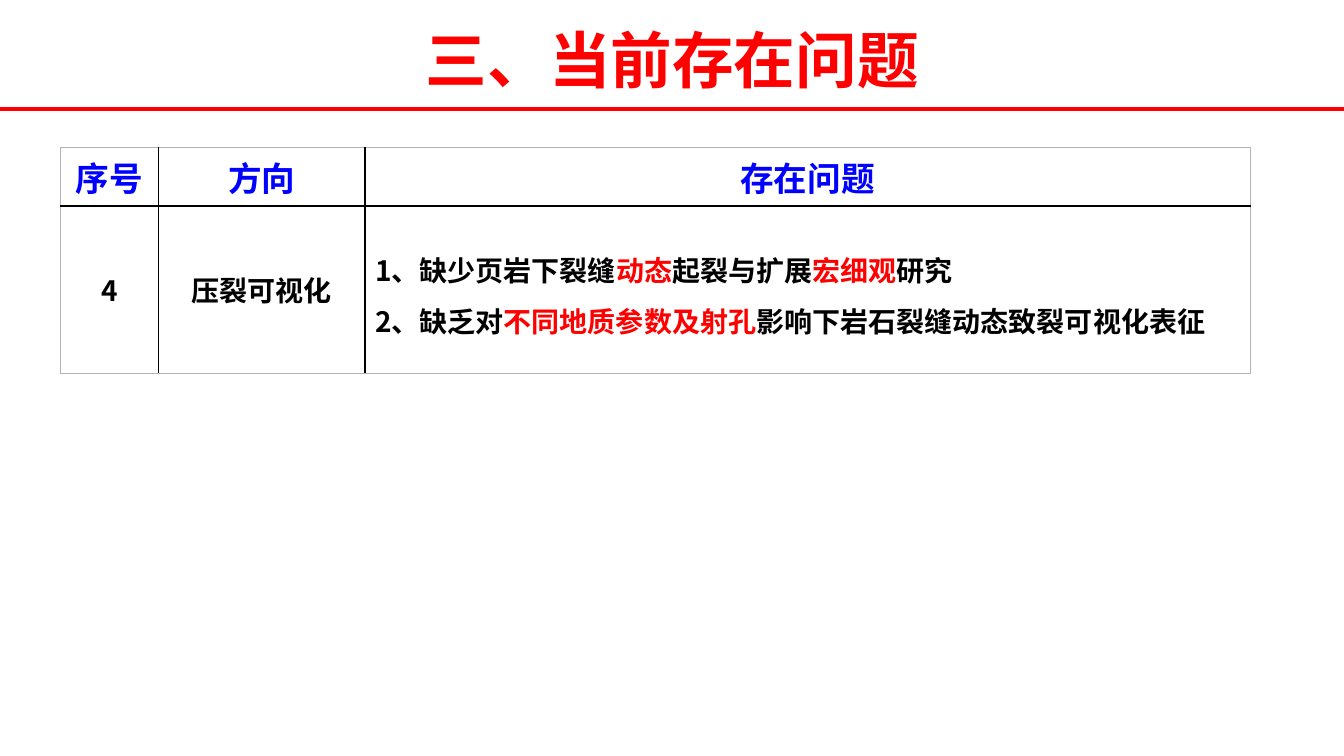
import pptx
import pptx.dml.color
import pptx.enum.text
import pptx.oxml
import pptx.oxml.ns
import pptx.util
from pptx.util import Inches

COLORS = {"red": "FF0000", "blue": "0000FF", "black": "000000", "edge": "B4B4B4"}
ALIGN = pptx.enum.text.PP_ALIGN
MIDDLE = pptx.enum.text.MSO_ANCHOR.MIDDLE


class Deck:
    """Holds the style and the current slide, and adds each kind of element."""

    def __init__(self, prs):
        self.font = "Noto Sans CJK SC"
        self.s = prs.slides.add_slide(prs.slide_layouts[5])

    def rgb(self, color):
        return pptx.dml.color.RGBColor.from_string(COLORS[color])

    def runs(self, p, parts, size, align=ALIGN.CENTER, spacing=None):
        p.alignment = align
        if spacing:
            p.line_spacing = spacing
        for text, color in parts:
            r = p.add_run()
            r.text = text
            r.font.size = pptx.util.Pt(size)
            r.font.bold = True
            r.font.name = self.font
            r.font.color.rgb = self.rgb(color)
            ea = pptx.oxml.parse_xml(
                f'<a:ea {pptx.oxml.ns.nsdecls("a")} typeface="{self.font}"/>')
            r.font._element.find(pptx.oxml.ns.qn("a:latin")).addnext(ea)

    def title(self, text, left, top, width, height):
        sp = self.s.shapes.title
        sp.left, sp.top = Inches(left), Inches(top)
        sp.width, sp.height = Inches(width), Inches(height)
        tf = sp.text_frame
        tf.auto_size = pptx.enum.text.MSO_AUTO_SIZE.NONE
        tf.vertical_anchor = MIDDLE
        self.runs(tf.paragraphs[0], [(text, "red")], 44)

    def rule(self, top, width):
        line = self.s.shapes.add_connector(1, 0, Inches(top), Inches(width), Inches(top))
        line.line.color.rgb = self.rgb("red")
        line.line.width = pptx.util.Pt(3)
        line._element.spPr.append(
            pptx.oxml.parse_xml(f'<a:effectLst {pptx.oxml.ns.nsdecls("a")}/>'))

    def border(self, cell, side, color):
        cell._tc.get_or_add_tcPr().append(pptx.oxml.parse_xml(
            f'<a:ln{side} {pptx.oxml.ns.nsdecls("a")} w="12700"><a:solidFill>'
            f'<a:srgbClr val="{COLORS[color]}"/></a:solidFill></a:ln{side}>'))

    def table(self, rows, left, top, widths, heights):
        table = self.s.shapes.add_table(
            len(heights), len(widths), Inches(left), Inches(top),
            Inches(sum(widths)), Inches(sum(heights))).table
        table.first_row = table.horz_banding = False
        for column, width in zip(table.columns, widths):
            column.width = Inches(width)
        for row, height in zip(table.rows, heights):
            row.height = Inches(height)
        for i, row in enumerate(rows):
            for j, paragraphs in enumerate(row):
                cell = table.cell(i, j)
                outer = {"L": j == 0, "R": j == len(widths) - 1,
                         "T": i == 0, "B": i == len(heights) - 1}
                for side, is_edge in outer.items():
                    self.border(cell, side, "edge" if is_edge else "black")
                cell.fill.background()
                cell.vertical_anchor = MIDDLE
                tf = cell.text_frame
                listed = len(paragraphs) > 1
                for k, parts in enumerate(paragraphs):
                    p = tf.add_paragraph() if k else tf.paragraphs[0]
                    self.runs(p, parts, 20 if i else 24,
                              ALIGN.LEFT if listed else ALIGN.CENTER,
                              1.25 if listed else None)


def main():
    prs = pptx.Presentation()
    prs.slide_width, prs.slide_height = Inches(13.33), Inches(7.5)
    deck = Deck(prs)
    deck.rule(1.08, 13.33)
    deck.title("三、当前存在问题", 2.71, 0.19, 7.92, 0.78)
    header = [[[(text, "blue")]] for text in ("序号", "方向", "存在问题")]
    problems = [
        [("1、缺少页岩下裂缝", "black"), ("动态", "red"), ("起裂与扩展", "black"),
         ("宏细观", "red"), ("研究", "black")],
        [("2、缺乏对", "black"), ("不同地质参数及射孔", "red"),
         ("影响下岩石裂缝动态致裂可视化表征", "black")],
    ]
    direction = [[[("4", "black")]], [[("压裂可视化", "black")]], problems]
    deck.table([header, direction], 0.6, 1.46, [0.97, 2.05, 8.78], [0.55, 1.66])
    prs.save("out.pptx")


if __name__ == "__main__":
    main()
